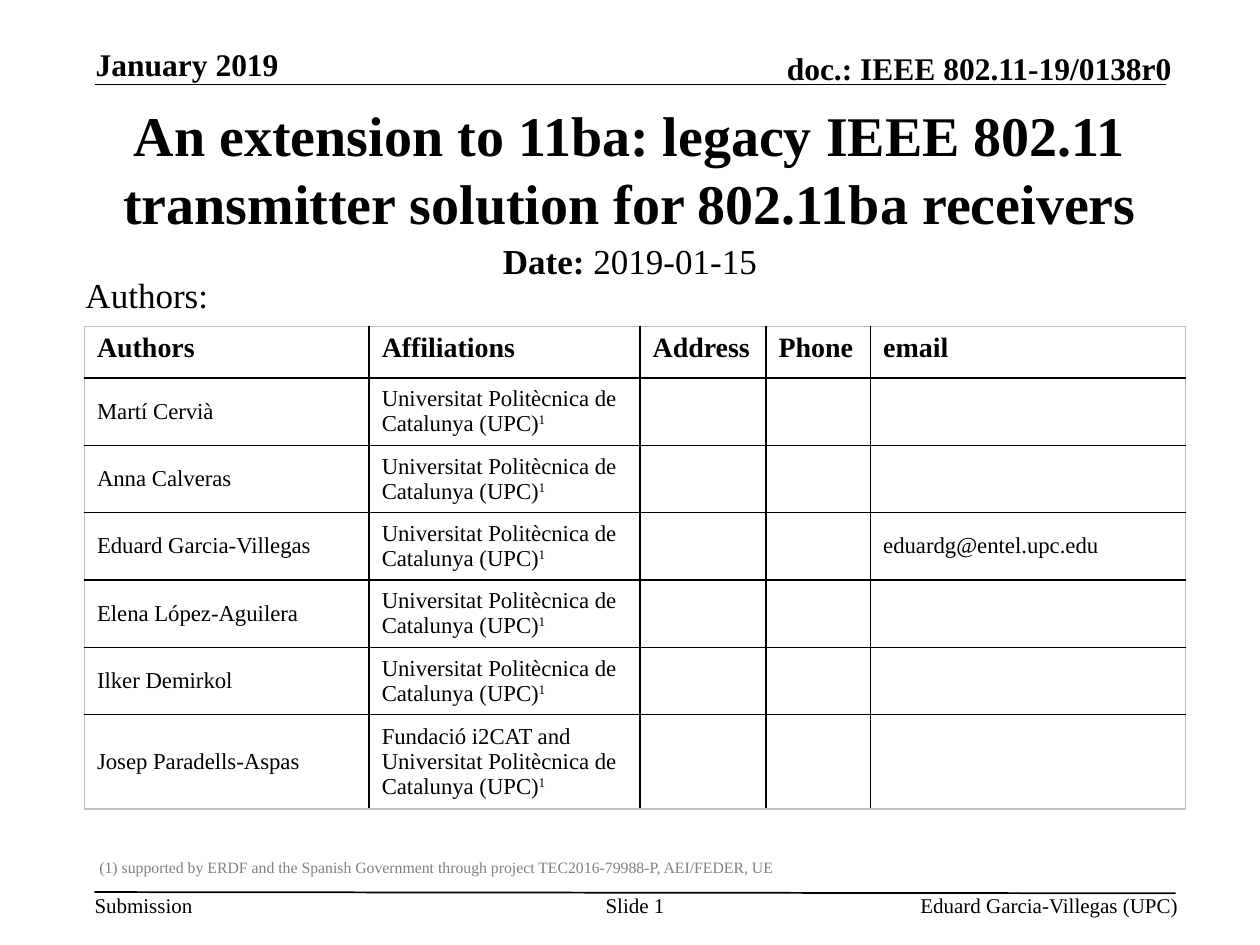
"""Build the title slide of an IEEE 802.11 submission with its author table."""
from lxml.etree import SubElement
from pptx import Presentation
from pptx.dml.color import RGBColor
from pptx.enum.shapes import MSO_CONNECTOR
from pptx.enum.text import MSO_ANCHOR, PP_ALIGN
from pptx.oxml import parse_xml
from pptx.oxml.ns import nsdecls, qn
from pptx.util import Inches, Pt


def rgb(value):
    return RGBColor.from_string(value)


def style(p, size, bold=False, color="000000"):
    for r in p.runs:
        r.font.name = "Times New Roman"
        r.font.size = Pt(size)
        r.font.bold = bold
        r.font.color.rgb = rgb(color)


prs = Presentation()
prs.slide_width, prs.slide_height = Inches(10), Inches(7.5)
s = prs.slides.add_slide(prs.slide_layouts[6])

for x1, y1, x2, y2 in [(0.75, 0.67, 9.25, 0.67), (0.75, 7.08, 9.33, 7.09)]:
    line = s.shapes.add_connector(
        MSO_CONNECTOR.STRAIGHT, Inches(x1), Inches(y1), Inches(x2), Inches(y2))
    line.line.color.rgb = rgb("000000")
    line.line.width = Pt(1)
    SubElement(line._element.spPr, qn("a:effectLst"))

L, C, R = PP_ALIGN.LEFT, PP_ALIGN.CENTER, PP_ALIGN.RIGHT
TOP, MID, BOTTOM = MSO_ANCHOR.TOP, MSO_ANCHOR.MIDDLE, MSO_ANCHOR.BOTTOM
title = "An extension to 11ba: legacy IEEE 802.11 transmitter solution for 802.11ba receivers"
footnote = ("(1) supported by ERDF and the Spanish Government through project "
            "TEC2016-79988-P, AEI/FEDER, UE")
texts = [
    ("Submission", 0.75, 7.08, 0.78, 0.2, 12, False, "000000", L, TOP, False, False, 0),
    ("doc.: IEEE 802.11-19/0138r0", 5.47, 0.39, 3.83, 0.3, 18, True, "000000", R, BOTTOM, False, True, 0),
    ("January 2019", 0.76, 0.36, 2.52, 0.3, 18, True, "000000", L, BOTTOM, False, True, 0),
    ("Eduard Garcia-Villegas (UPC)", 6.02, 7.08, 3.33, 0.2, 12, False, "000000", R, TOP, False, True, 0),
    ("Slide 1", 4.75, 7.08, 0.58, 0.4, 12, False, "000000", C, TOP, False, True, 0),
    (title, 0.75, 0.75, 8.5, 1.17, 32, True, "000000", C, MID, True, True, 0),
    ("Date: ", 0.75, 1.85, 8.5, 0.43, 20, True, "000000", C, TOP, True, True, 5),
    ("Authors:", 0.58, 2.12, 1.58, 0.42, 20, False, "000000", L, TOP, True, True, 5),
    (footnote, 0.69, 6.76, 5.62, 0.25, 9, False, "808080", L, TOP, True, False, 0),
]
for text, x, y, w, h, size, bold, color, align, anchor, inset, wrap, before in texts:
    tf = s.shapes.add_textbox(Inches(x), Inches(y), Inches(w), Inches(h)).text_frame
    tf.text = text
    tf.word_wrap = wrap
    tf.vertical_anchor = anchor
    if not inset:
        tf.margin_left = tf.margin_right = tf.margin_top = tf.margin_bottom = 0
    p = tf.paragraphs[0]
    p.alignment = align
    p.space_before = Pt(before)
    if text == "Date: ":
        p.add_run().text = "2019-01-15"
    style(p, size, bold, color)
    if text == "Date: ":
        p.runs[1].font.bold = False

upc = "Universitat Politècnica de Catalunya (UPC)"
rows = [["Authors", "Affiliations", "Address", "Phone", "email"]]
for author in ["Martí Cervià", "Anna Calveras", "Eduard Garcia-Villegas",
               "Elena López-Aguilera", "Ilker Demirkol", "Josep Paradells-Aspas"]:
    rows.append([author, upc, "", "", ""])
rows[3][4] = "eduardg@entel.upc.edu"
rows[6][1] = "Fundació i2CAT and " + upc

widths = [2.26, 2.15, 1, 0.83, 2.5]
heights = [0.41] + [0.5] * 5 + [0.69]
table = s.shapes.add_table(len(rows), len(widths), Inches(0.67), Inches(2.59),
                           Inches(sum(widths)), Inches(sum(heights))).table
for col, w in zip(table.columns, widths):
    col.width = Inches(w)
for row, h in zip(table.rows, heights):
    row.height = Inches(h)

for i, row in enumerate(rows):
    for j, text in enumerate(row):
        cell = table.cell(i, j)
        cell.fill.background()
        cell.vertical_anchor = MID if i else TOP
        cell.text_frame.text = text
        p = cell.text_frame.paragraphs[0]
        if i and j == 1:
            r = p.add_run()
            r.text = "1"
            r.font._element.set("baseline", "30000")
        style(p, 13 if i else 16, i == 0)
        outer = {"L": j == 0, "R": j == len(widths) - 1,
                 "T": i == 0, "B": i == len(rows) - 1}
        for k, (side, is_outer) in enumerate(outer.items()):
            color = "C0C0C0" if is_outer else "000000"
            cell._tc.tcPr.insert(k, parse_xml(
                f'<a:ln{side} {nsdecls("a")} w="12700"><a:solidFill>'
                f'<a:srgbClr val="{color}"/></a:solidFill></a:ln{side}>'))

prs.save("out.pptx")
